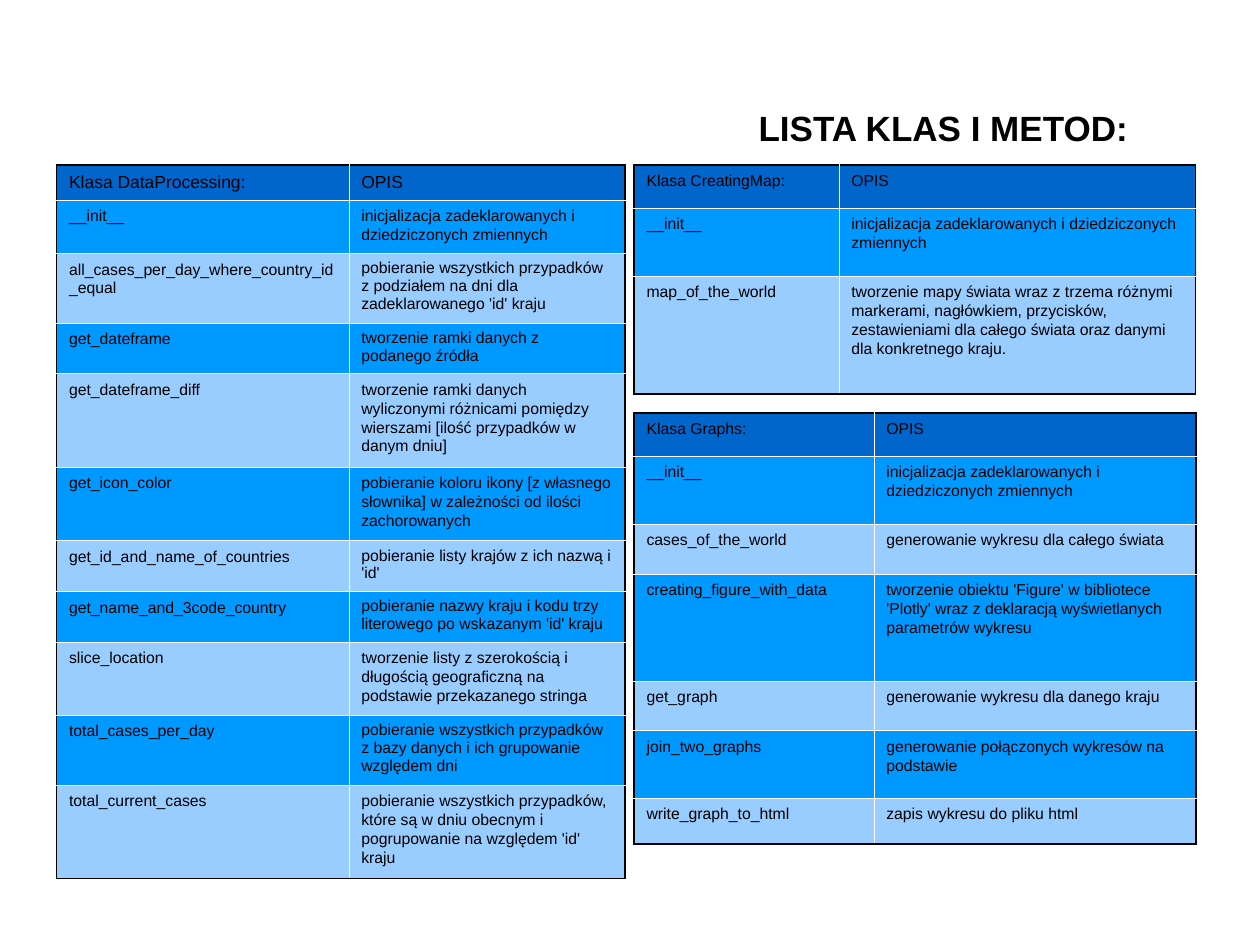
from dataclasses import dataclass

from lxml import etree
from pptx import Presentation
from pptx.dml.color import RGBColor
from pptx.enum import text
from pptx.oxml import ns
from pptx.util import Pt


@dataclass(frozen=True)
class Theme:
    font: str = "Arial"
    ink: str = "000000"
    header: str = "0066CC"
    bands: tuple = ("0099FF", "99CCFF")
    grid: str = "FFFFFF"
    title_size: float = 20
    body_size: float = 9
    large_size: float = 10
    frame_width: float = 1
    grid_width: float = 0.06


THEME = Theme()
LOOSE, TIGHT = 1.07, 1.0
INIT = ("__init__", "inicjalizacja zadeklarowanych i dziedziczonych zmiennych")

# Each row: height, method, description, line spacing of the description
DATA_PROCESSING = [
    (20, "Klasa DataProcessing:", "OPIS", LOOSE),
    (30, *INIT, LOOSE),
    (39.5, "all_cases_per_day_where_country_id_equal",
     "pobieranie wszystkich przypadków z podziałem na dni dla zadeklarowanego 'id' kraju", TIGHT),
    (29, "get_dateframe", "tworzenie ramki danych z podanego źródła", TIGHT),
    (53, "get_dateframe_diff",
     "tworzenie ramki danych wyliczonymi różnicami pomiędzy wierszami "
     "[ilość przypadków w danym dniu]", LOOSE),
    (41.5, "get_icon_color",
     "pobieranie koloru ikony [z własnego słownika] w zależności od ilości zachorowanych", LOOSE),
    (29, "get_id_and_name_of_countries", "pobieranie listy krajów z ich nazwą i 'id'", TIGHT),
    (28.5, "get_name_and_3code_country",
     "pobieranie nazwy kraju i kodu trzy literowego po wskazanym 'id' kraju", TIGHT),
    (41.5, "slice_location",
     "tworzenie listy z szerokością i długością geograficzną na podstawie "
     "przekazanego stringa", LOOSE),
    (39.5, "total_cases_per_day",
     "pobieranie wszystkich przypadków z bazy danych i ich grupowanie względem dni", TIGHT),
    (53, "total_current_cases",
     "pobieranie wszystkich przypadków, które są w dniu obecnym i pogrupowanie "
     "na względem 'id' kraju", LOOSE),
]
CREATING_MAP = [
    (24.5, "Klasa CreatingMap:", "OPIS", LOOSE),
    (39, *INIT, LOOSE),
    (67.5, "map_of_the_world",
     "tworzenie mapy świata wraz z trzema różnymi markerami, nagłówkiem, przycisków, "
     "zestawieniami dla całego świata oraz danymi dla konkretnego kraju.", LOOSE),
]
GRAPHS = [
    (24.5, "Klasa Graphs:", "OPIS", LOOSE),
    (39, *INIT, LOOSE),
    (28.5, "cases_of_the_world", "generowanie wykresu dla całego świata", LOOSE),
    (61, "creating_figure_with_data",
     "tworzenie obiektu 'Figure' w bibliotece 'Plotly' wraz z deklaracją "
     "wyświetlanych parametrów wykresu", LOOSE),
    (28.5, "get_graph", "generowanie wykresu dla danego kraju", LOOSE),
    (38.5, "join_two_graphs", "generowanie połączonych wykresów na podstawie", LOOSE),
    (26.5, "write_graph_to_html", "zapis wykresu do pliku html", LOOSE),
]


def style_runs(paragraph, size, bold=False):
    for run in paragraph.runs:
        run.font.name = THEME.font
        run.font.size = Pt(size)
        run.font.bold = bold
        run.font.color.rgb = RGBColor.from_string(THEME.ink)


def set_borders(cell, outer_sides):
    """Frame the outer sides in ink and the others with the fine grid line."""
    properties = cell._tc.get_or_add_tcPr()
    for index, side in enumerate("LRTB"):
        outer = side in outer_sides
        width = THEME.frame_width if outer else THEME.grid_width
        line = etree.Element(ns.qn(f"a:ln{side}"), w=str(int(Pt(width))))
        fill = etree.SubElement(line, ns.qn("a:solidFill"))
        etree.SubElement(fill, ns.qn("a:srgbClr"), val=THEME.ink if outer else THEME.grid)
        properties.insert(index, line)


def fill_cell(cell, content, spacing, size, color):
    cell.fill.solid()
    cell.fill.fore_color.rgb = RGBColor.from_string(color)
    paragraph = cell.text_frame.paragraphs[0]
    paragraph.text = content
    paragraph.line_spacing = spacing
    style_runs(paragraph, size)


def add_title(slide, left, top, width, height):
    box = slide.shapes.add_textbox(Pt(left), Pt(top), Pt(width), Pt(height))
    frame = box.text_frame
    frame.word_wrap = True
    frame.vertical_anchor = text.MSO_ANCHOR.MIDDLE
    frame.margin_left = frame.margin_right = frame.margin_top = frame.margin_bottom = 0
    frame.text = "LISTA KLAS I METOD:"
    style_runs(frame.paragraphs[0], THEME.title_size, bold=True)


def add_class_table(slide, left, top, widths, rows, header_size=THEME.body_size):
    height = sum(row[0] for row in rows)
    table = slide.shapes.add_table(len(rows), len(widths), Pt(left), Pt(top),
                                   Pt(sum(widths)), Pt(height)).table
    table.first_row = table.horz_banding = False
    for column, width in zip(table.columns, widths):
        column.width = Pt(width)
    for index, (row_height, method, description, spacing) in enumerate(rows):
        table.rows[index].height = Pt(row_height)
        color = THEME.bands[(index - 1) % 2] if index else THEME.header
        size = THEME.body_size if index else header_size
        edge = "T" if index == 0 else "B" if index == len(rows) - 1 else ""
        for column, content, line_spacing, side in (
                (0, method, LOOSE, "L"), (1, description, spacing, "R")):
            cell = table.cell(index, column)
            fill_cell(cell, content, line_spacing, size, color)
            set_borders(cell, edge + side)


def main():
    presentation = Presentation()
    presentation.slide_width, presentation.slide_height = Pt(720), Pt(540)
    slide = presentation.slides.add_slide(presentation.slide_layouts[6])
    add_title(slide, 433.5, 37.5, 279, 70.5)
    add_class_table(slide, 32.3, 94.3, (167, 158), DATA_PROCESSING, THEME.large_size)
    add_class_table(slide, 362.3, 94.3, (117, 204), CREATING_MAP)
    add_class_table(slide, 362.3, 236, (137, 184), GRAPHS)
    presentation.save("out.pptx")


if __name__ == "__main__":
    main()
